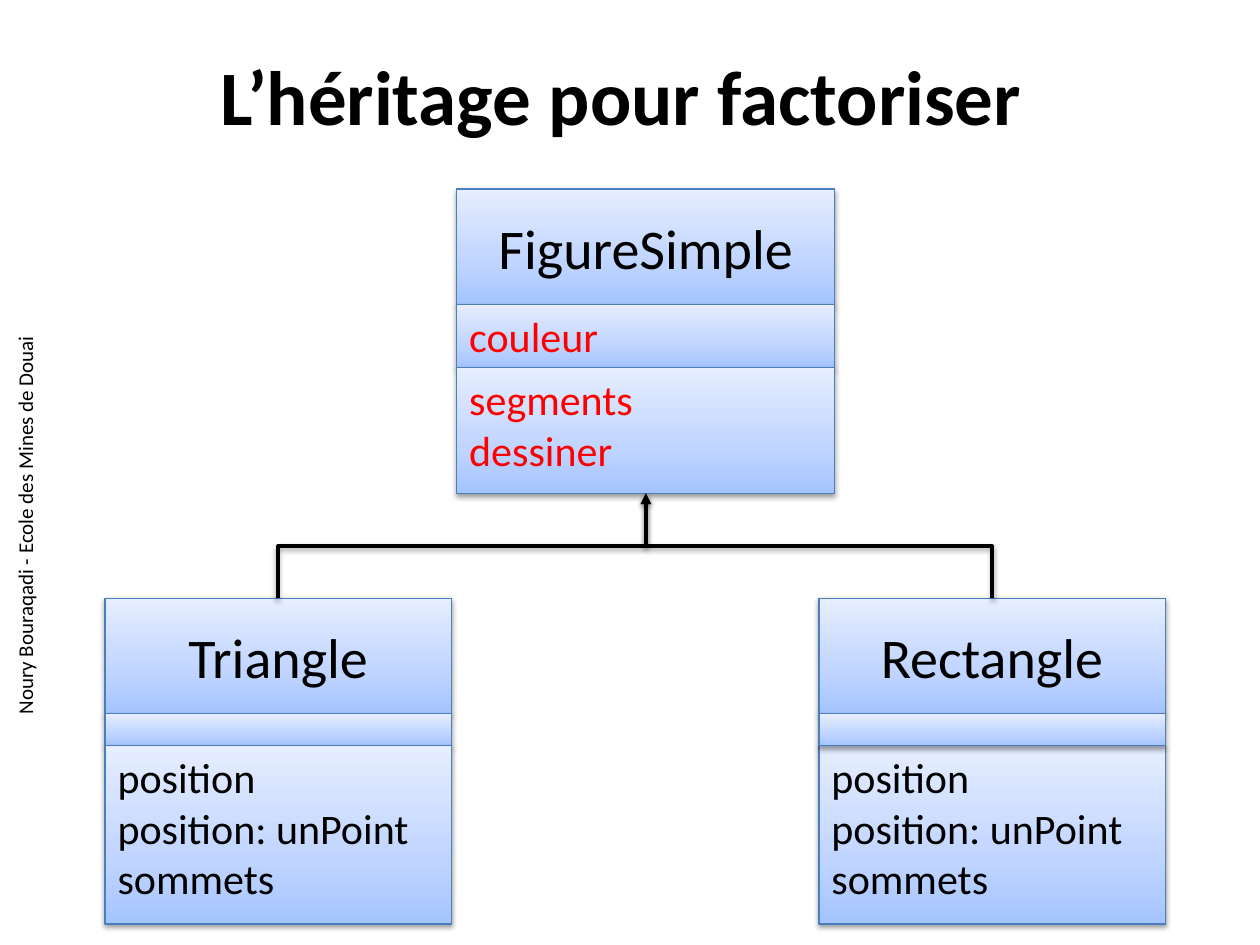
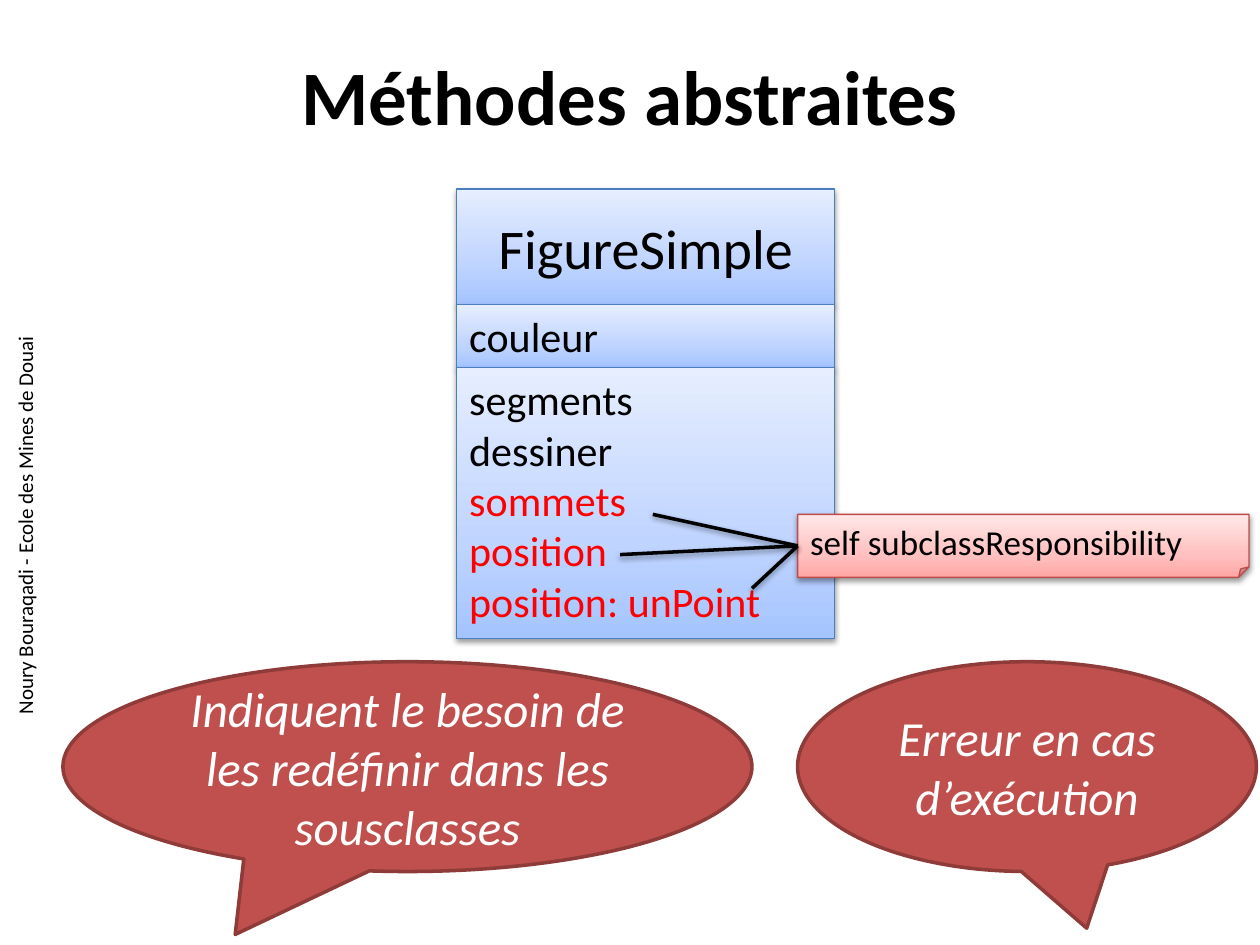
from dataclasses import dataclass
from typing import NamedTuple

import lxml.etree
import pptx
import pptx.dml.color
import pptx.enum.shapes
import pptx.enum.text
import pptx.oxml.ns
import pptx.util

Cm = pptx.util.Cm
Preset = pptx.enum.shapes.MSO_SHAPE
Link = pptx.enum.shapes.MSO_CONNECTOR
Align = pptx.enum.text.PP_ALIGN
Anchor = pptx.enum.text.MSO_ANCHOR
qn = pptx.oxml.ns.qn

TOP, LEFT, BOTTOM = 0, 1, 2


class Tint(NamedTuple):
    """Gradient colours from bottom to top, and the outline."""
    stops: tuple[str, str, str]
    outline: str


@dataclass(frozen=True)
class Theme:
    font: str = "Calibri"
    ink: str = "000000"
    highlight: str = "FF0000"
    light: str = "FFFFFF"
    callout: str = "C0504D"
    callout_outline: str = "8E3B39"
    blue: Tint = Tint(("A4C4FF", "BFD4FF", "E6EEFF"), "4B7EBC")
    pink: Tint = Tint(("FFA6A5", "FFC0BF", "FFE7E7"), "BF4C48")
    thin: float = 0.75
    thick: float = 2
    title: int = 44
    class_name: int = 32
    callout_text: int = 28
    member: int = 24
    note: int = 20
    footer: int = 12


THEME = Theme()


class Area(NamedTuple):
    """Left, top, width and height in centimetres."""
    left: float
    top: float
    width: float
    height: float

    def lengths(self) -> tuple:
        return tuple(Cm(value) for value in self)


@dataclass(frozen=True)
class ClassBox:
    name: str
    left: float
    top: float
    width: float
    attributes: tuple[str, ...]
    methods: tuple[str, ...]
    attributes_height: float
    methods_height: float
    highlighted: tuple[str, ...] = ()
    attributes_in_front: bool = False


@dataclass(frozen=True)
class Callout:
    text: str
    area: Area
    tip: tuple[float, float]


NAME_HEIGHT = 2.33
FIGURE = dict(name="FigureSimple", left=9.21, top=3.81, width=7.62,
              attributes=("couleur",), attributes_height=1.27)
SUBCLASS = dict(top=12.06, width=6.98, attributes=(), attributes_height=0.64,
                methods=("position", "position: unPoint", "sommets"), methods_height=3.6)

SHARED_FIGURE = ClassBox(**FIGURE, methods=("segments", "dessiner"), methods_height=2.54,
                         highlighted=("couleur", "segments", "dessiner"))
ABSTRACT_FIGURE = ClassBox(
    **FIGURE, methods_height=5.46,
    methods=("segments", "dessiner", "sommets", "position", "position: unPoint"),
    highlighted=("sommets", "position", "position: unPoint"))
SUBCLASSES = (
    ClassBox("Triangle", left=2.12, **SUBCLASS),
    ClassBox("Rectangle", left=16.51, attributes_in_front=True, **SUBCLASS),
)
NOTE_AREA = Area(16.08, 10.37, 9.1, 1.27)
NOTE_LINE_STARTS = ((12.5, 11.18), (13.16, 10.37), (15.16, 11.86))
CALLOUTS = (
    Callout("Indiquent le besoin de les redéfinir dans les sousclasses",
            Area(1.27, 13.34, 13.89, 4.23), (-0.25, 0.8)),
    Callout("Erreur en cas d’exécution", Area(16.08, 13.34, 9.25, 4.23), (0.13, 0.77)),
)


def rgb(color: str) -> pptx.dml.color.RGBColor:
    return pptx.dml.color.RGBColor.from_string(color)


def add_node(parent, tag: str, **attributes):
    return lxml.etree.SubElement(parent, qn(tag), attributes)


def write_text(shape, *lines: str, size: int, color: str = THEME.ink,
               highlighted: tuple[str, ...] = (), bold: bool = False, italic: bool = False,
               align=Align.CENTER, anchor=Anchor.MIDDLE) -> None:
    frame = shape.text_frame
    frame.word_wrap = True
    frame.vertical_anchor = anchor
    for index, line in enumerate(lines):
        para = frame.add_paragraph() if index else frame.paragraphs[0]
        para.alignment = align
        span = para.add_run()
        span.text = line
        span.font.name = THEME.font
        span.font.size = pptx.util.Pt(size)
        span.font.bold = bold
        span.font.italic = italic
        span.font.color.rgb = rgb(THEME.highlight if line in highlighted else color)


def set_line(shape, color: str, width: float) -> None:
    shape.line.color.rgb = rgb(color)
    shape.line.width = pptx.util.Pt(width)


def add_shadow(shape) -> None:
    """Cast a soft shadow downwards; call it once fill and line are set."""
    effects = add_node(shape.element.spPr, "a:effectLst")
    shadow = add_node(effects, "a:outerShdw", blurRad="40000", dist="20000",
                      dir="5400000", rotWithShape="0")
    black = add_node(shadow, "a:srgbClr", val=THEME.ink)
    add_node(black, "a:alpha", val="38000")


def add_panel(shapes, preset, area: Area, tint: Tint):
    """Add a shape with a vertical gradient, a thin outline and a shadow."""
    panel = shapes.add_shape(preset, *area.lengths())
    panel.fill.gradient()
    panel.fill.gradient_angle = 90
    stops = panel.element.spPr.find(qn("a:gradFill")).find(qn("a:gsLst"))
    for stop in list(stops):
        stops.remove(stop)
    for position, color in zip((0, 35, 100), tint.stops):
        stop = add_node(stops, "a:gs", pos=str(position * 1000))
        add_node(stop, "a:srgbClr", val=color)
    set_line(panel, tint.outline, THEME.thin)
    add_shadow(panel)
    return panel


def add_class(page, box: ClassBox) -> tuple:
    """Draw the three compartments and return the first and the last."""
    shapes = page.shapes.add_group_shape().shapes
    attributes_top = box.top + NAME_HEIGHT
    methods_top = attributes_top + box.attributes_height

    def add_compartment(top: float, height: float):
        return add_panel(shapes, Preset.RECTANGLE, Area(box.left, top, box.width, height),
                         THEME.blue)

    def add_attributes() -> None:
        compartment = add_compartment(attributes_top, box.attributes_height)
        write_text(compartment, *box.attributes, size=THEME.member,
                   highlighted=box.highlighted, align=Align.LEFT)

    header = add_compartment(box.top, NAME_HEIGHT)
    write_text(header, box.name, size=THEME.class_name)
    if not box.attributes_in_front:
        add_attributes()
    methods = add_compartment(methods_top, box.methods_height)
    write_text(methods, *box.methods, size=THEME.member, highlighted=box.highlighted,
               align=Align.LEFT, anchor=Anchor.TOP)
    if box.attributes_in_front:
        add_attributes()
    return header, methods


def add_inheritance(page, subclass, superclass) -> None:
    """Join a subclass to its superclass by an elbow arrow that leaves upwards."""
    arrow = page.shapes.add_connector(Link.ELBOW, 0, 0, 0, 0)
    arrow.begin_connect(subclass, TOP)
    arrow.end_connect(superclass, BOTTOM)
    begin_x, begin_y, end_x, end_y = arrow.begin_x, arrow.begin_y, arrow.end_x, arrow.end_y
    across, rise = abs(end_x - begin_x), begin_y - end_y
    arrow.left = (begin_x + end_x - rise) // 2
    arrow.top = (begin_y + end_y - across) // 2
    arrow.width, arrow.height = rise, across
    goes_right = end_x > begin_x
    arrow.rotation = 90 if goes_right else 270
    frame = arrow.element.spPr.find(qn("a:xfrm"))
    frame.set("flipH", "1" if goes_right else "0")
    frame.set("flipV", "1")
    set_line(arrow, THEME.ink, THEME.thick)
    add_node(arrow.line._get_or_add_ln(), "a:tailEnd", type="triangle")
    add_shadow(arrow)


def add_note(page) -> None:
    note = add_panel(page.shapes, Preset.FOLDED_CORNER, NOTE_AREA, THEME.pink)
    write_text(note, "self subclassResponsibility", size=THEME.note,
               align=Align.LEFT, anchor=Anchor.TOP)
    for x, y in NOTE_LINE_STARTS:
        line = page.shapes.add_connector(Link.STRAIGHT, Cm(x), Cm(y), Cm(x), Cm(y))
        line.end_connect(note, LEFT)
        set_line(line, THEME.ink, THEME.thick)
        add_shadow(line)


def add_callout(page, callout: Callout) -> None:
    bubble = page.shapes.add_shape(Preset.OVAL_CALLOUT, *callout.area.lengths())
    bubble.adjustments[0], bubble.adjustments[1] = callout.tip
    bubble.fill.solid()
    bubble.fill.fore_color.rgb = rgb(THEME.callout)
    set_line(bubble, THEME.callout_outline, THEME.thick)
    bubble.shadow.inherit = False
    write_text(bubble, callout.text, size=THEME.callout_text, color=THEME.light, italic=True)


def add_page(deck, title: str):
    """Add a blank page with the title and the upright footer."""
    page = deck.slides.add_slide(deck.slide_layouts[6])
    heading = page.shapes.add_textbox(*Area(0, 0, 25.4, 3.81).lengths())
    write_text(heading, title, size=THEME.title, bold=True)
    footer = page.shapes.add_textbox(*Area(-5, 10.08, 11, 1.02).lengths())
    footer.rotation = 270
    write_text(footer, "Noury Bouraqadi - Ecole des Mines de Douai", size=THEME.footer)
    return page


def main() -> None:
    deck = pptx.Presentation()
    deck.slide_width, deck.slide_height = Cm(25.4), Cm(19.05)

    page = add_page(deck, "L’héritage pour factoriser ")
    subclass_headers = [add_class(page, box)[0] for box in SUBCLASSES]
    figure_methods = add_class(page, SHARED_FIGURE)[1]
    for header in subclass_headers:
        add_inheritance(page, header, figure_methods)

    page = add_page(deck, "Méthodes abstraites")
    add_class(page, ABSTRACT_FIGURE)
    add_note(page)
    for callout in CALLOUTS:
        add_callout(page, callout)

    deck.save("out.pptx")


if __name__ == "__main__":
    main()
